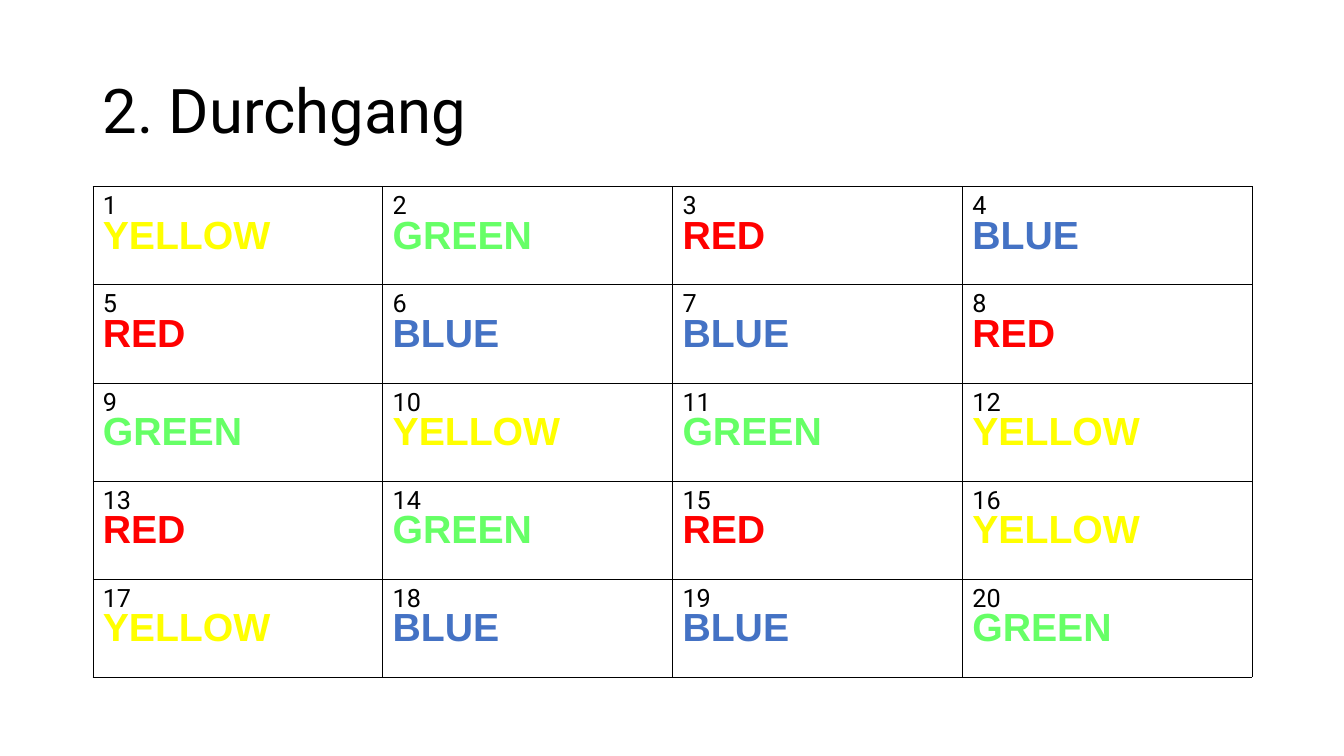
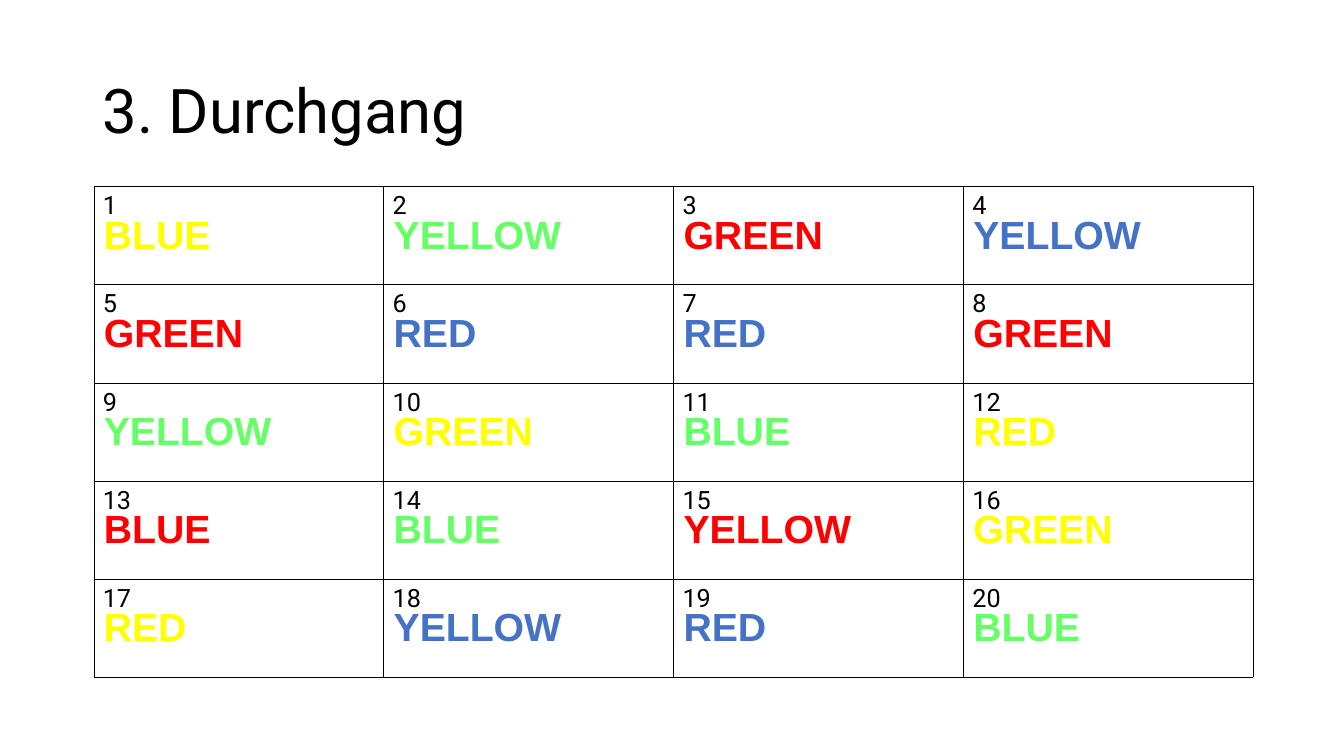
from lxml import etree
from pptx import Presentation
from pptx.dml.color import RGBColor
from pptx.enum.text import MSO_ANCHOR, PP_ALIGN
from pptx.oxml.ns import qn
from pptx.util import Inches, Pt

TOP, MIDDLE = MSO_ANCHOR.TOP, MSO_ANCHOR.MIDDLE
LEFT = PP_ALIGN.LEFT

INKS = [
    "YELLOW GREEN RED BLUE",
    "RED BLUE BLUE RED",
    "GREEN YELLOW GREEN YELLOW",
    "RED GREEN RED YELLOW",
    "YELLOW BLUE BLUE GREEN",
]
MIXED = [
    "BLUE YELLOW GREEN YELLOW",
    "GREEN RED RED GREEN",
    "YELLOW GREEN BLUE RED",
    "BLUE BLUE YELLOW GREEN",
    "RED YELLOW RED BLUE",
]
ROUNDS = [("2. Durchgang", INKS, 0.92), ("3. Durchgang", MIXED, 0.93)]

THEME = {
    "inks": {"YELLOW": "FFFF00", "GREEN": "66FF66", "RED": "FF0000", "BLUE": "4472C4"},
    "title": {"name": "Roboto", "size": Pt(44), "bold": False},
    "count": {"name": "Roboto", "size": Pt(18), "bold": False},
    "word": {"name": "Arial", "size": Pt(28), "bold": True},
    "text": "000000",
    "grid": ("000000", 0.25),
    "plain": ("FFFFFF", 6),
}
WIDE, HIGH = 13.33, 7.5
EDGE, HEAD, BODY = 0.92, 0.4, 1.85
SPAN, DEEP = 11.5, 4.87
ROWS, COLS = 5, 4


def style(part, look, ink):
    for key, value in look.items():
        setattr(part.font, key, value)
    part.font.color.rgb = RGBColor.from_string(ink)


def border(cell, line):
    ink, width = line
    props = cell._tc.get_or_add_tcPr()
    for side in ("a:lnL", "a:lnR", "a:lnT", "a:lnB"):
        edge = etree.SubElement(props, qn(side), w=str(Pt(width)))
        fill = etree.SubElement(edge, qn("a:solidFill"))
        etree.SubElement(fill, qn("a:srgbClr"), val=ink)


def add_grid(slide, left, cells, look, line, anchor):
    frame = slide.shapes.add_table(
        ROWS, COLS, Inches(left), Inches(BODY), Inches(SPAN), Inches(DEEP))
    table = frame.table
    table.first_row = table.horz_banding = False
    for row in table.rows:
        row.height = Inches(DEEP / ROWS)
    for cell, (text, ink) in zip(table.iter_cells(), cells):
        border(cell, line)
        cell.fill.background()
        cell.vertical_anchor = anchor
        run = cell.text_frame.paragraphs[0].add_run()
        run.text = text
        style(run, look, ink)


def add_title(slide, text):
    title = slide.shapes.title
    title.left, title.top = Inches(EDGE), Inches(HEAD)
    title.width, title.height = Inches(SPAN), Inches(BODY - HEAD)
    title.text_frame.vertical_anchor = MIDDLE
    para = title.text_frame.paragraphs[0]
    para.alignment, para.line_spacing = LEFT, 0.9
    run = para.add_run()
    run.text = text
    style(run, THEME["title"], THEME["text"])


def main():
    deck = Presentation()
    deck.slide_width, deck.slide_height = Inches(WIDE), Inches(HIGH)
    inks = [THEME["inks"][name] for name in " ".join(INKS).split()]
    counts = [(str(n), THEME["text"]) for n in range(1, ROWS * COLS + 1)]
    for text, words, left in ROUNDS:
        slide = deck.slides.add_slide(deck.slide_layouts[5])
        add_title(slide, text)
        add_grid(slide, EDGE, counts, THEME["count"], THEME["plain"], TOP)
        pairs = zip(" ".join(words).split(), inks)
        add_grid(slide, left, pairs, THEME["word"], THEME["grid"], MIDDLE)
    deck.save("out.pptx")


if __name__ == "__main__":
    main()
